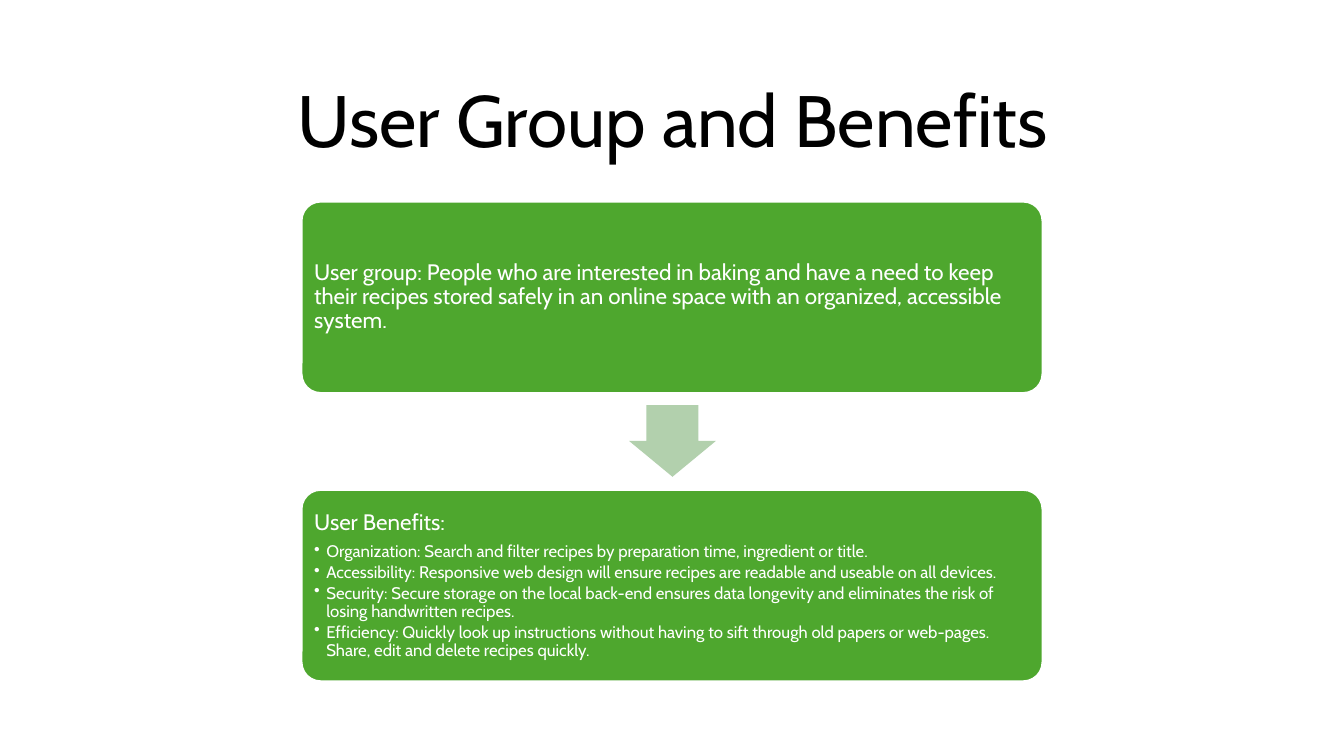
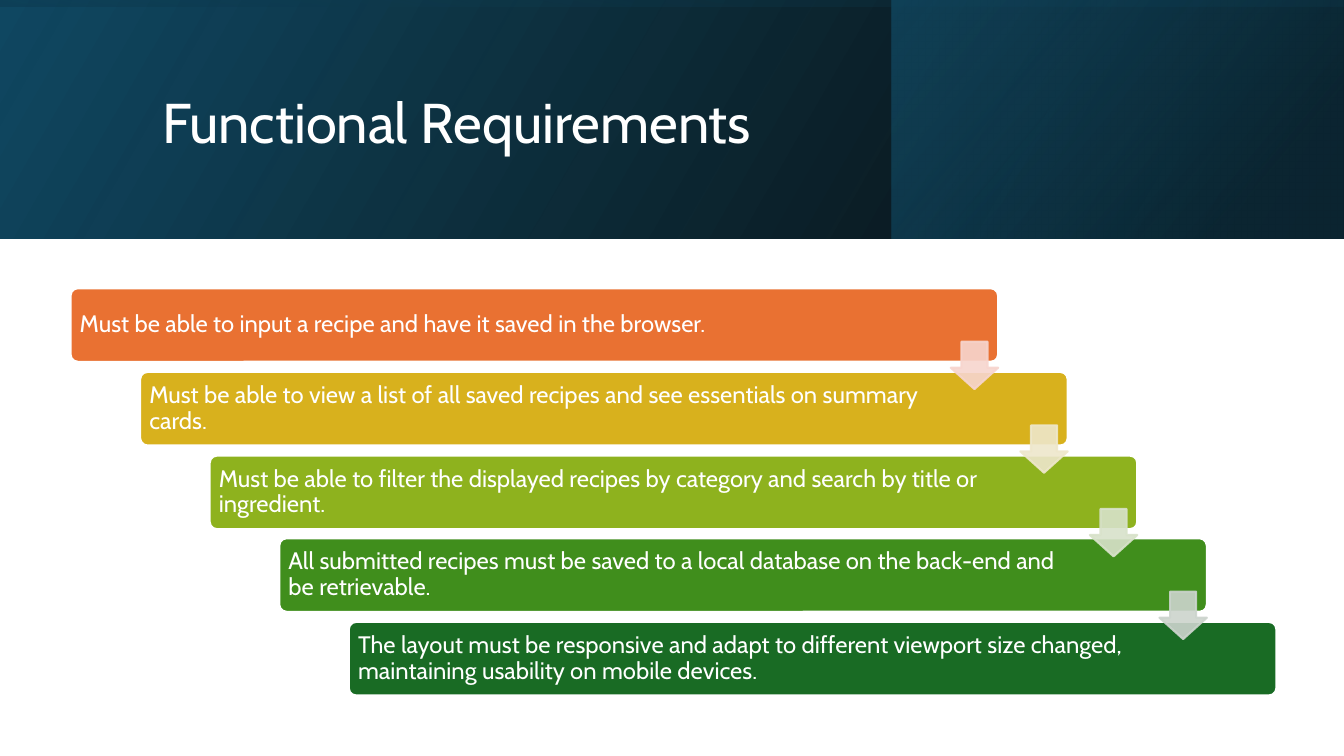
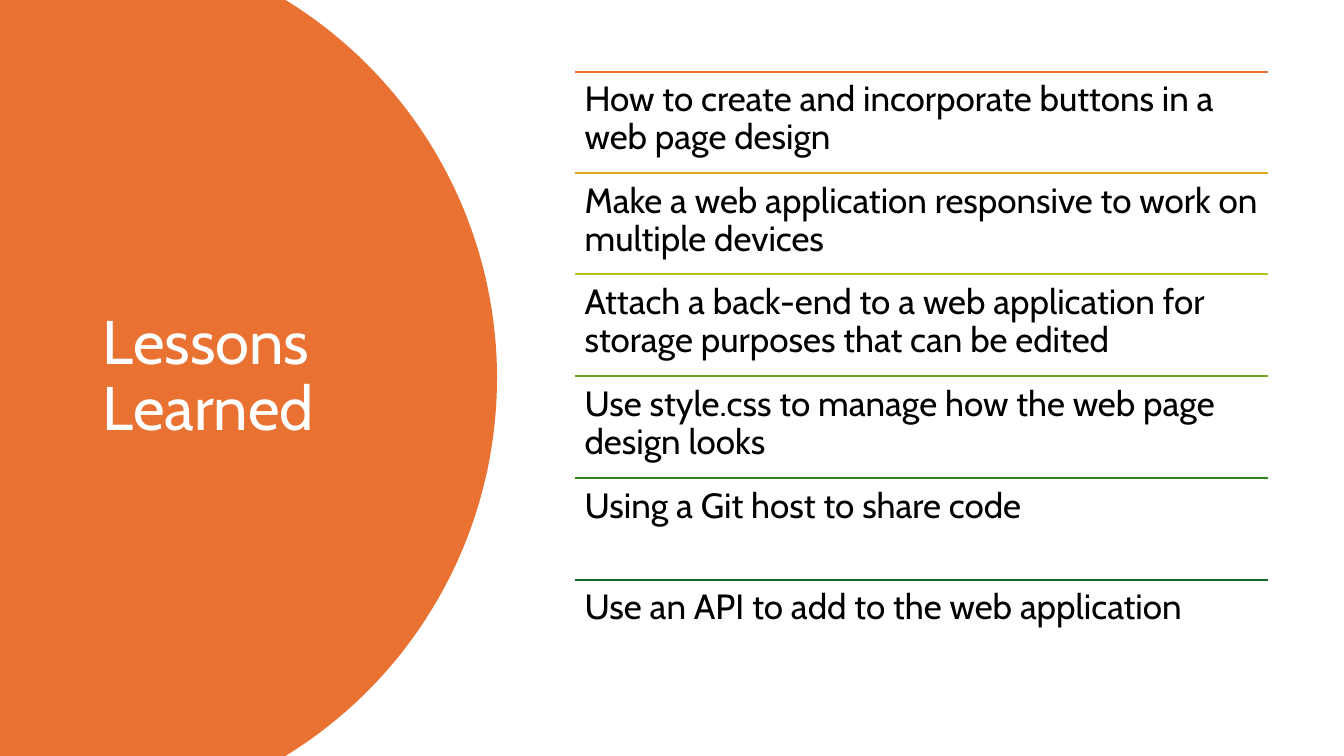
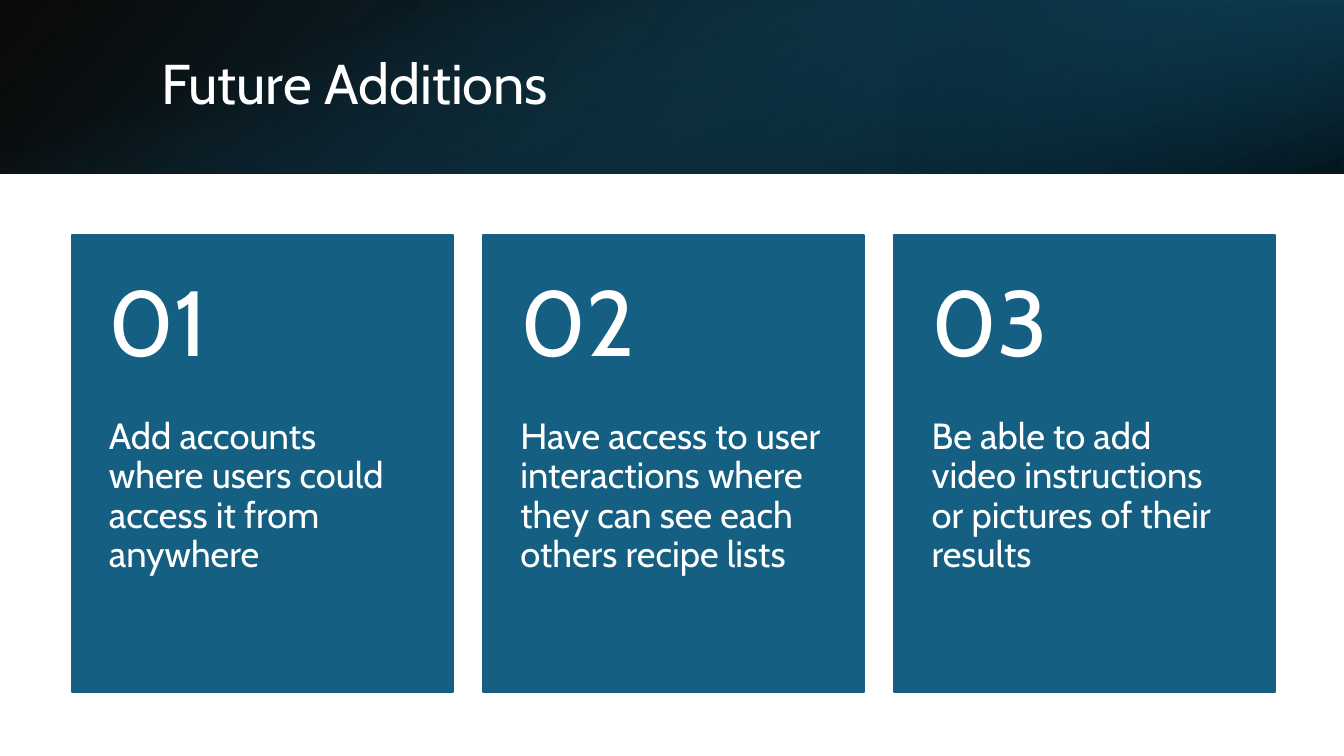
from dataclasses import dataclass
from math import asin, cos, sin

from lxml import etree
from pptx import Presentation
from pptx.dml.color import RGBColor
from pptx.enum.shapes import MSO_CONNECTOR, MSO_SHAPE
from pptx.enum.text import MSO_ANCHOR, MSO_AUTO_SIZE, PP_ALIGN
from pptx.oxml.ns import qn
from pptx.util import Pt

PX = 9144
WIDTH, HEIGHT = 1333, 750
TITLE_ONLY = 5
LEFT, CENTER = PP_ALIGN.LEFT, PP_ALIGN.CENTER
TOP, MIDDLE = MSO_ANCHOR.TOP, MSO_ANCHOR.MIDDLE
RECTANGLE, ROUNDED = MSO_SHAPE.RECTANGLE, MSO_SHAPE.ROUNDED_RECTANGLE
DOWN_ARROW = MSO_SHAPE.DOWN_ARROW
STRAIGHT = MSO_CONNECTOR.STRAIGHT
NO_AUTOFIT = MSO_AUTO_SIZE.NONE


@dataclass(frozen=True)
class Theme:
    font: str = "Cabin"
    black: str = "000000"
    white: str = "FFFFFF"
    green: str = "4EA72E"
    pale_green: str = "B2D0AD"
    orange: str = "E97132"
    blue: str = "156082"
    deep_blue: str = "104862"
    night_blue: str = "0B3041"
    hero_title: int = 52
    side_title: int = 44
    band_title: int = 40
    lead: int = 16
    bullet: int = 12
    step: int = 17
    lesson: int = 25
    card: int = 26
    number: int = 66
    line_spacing: float = 0.9
    line_width: float = 1.5


THEME = Theme()

USER_GROUP = [
    ("User group: People who are interested in baking and have a need to keep their recipes "
     "stored safely in an online space with an organized, accessible system.", False),
]
USER_BENEFITS = [
    ("User Benefits:", False),
    ("Organization: Search and filter recipes by preparation time, ingredient or title.", True),
    ("Accessibility: Responsive web design will ensure recipes are readable and useable on all "
     "devices.", True),
    ("Security: Secure storage on the local back-end ensures data longevity and eliminates the "
     "risk of losing handwritten recipes.", True),
    ("Efficiency: Quickly look up instructions without having to sift through old papers or "
     "web-pages. Share, edit and delete recipes quickly.", True),
]
REQUIREMENTS = [
    ("Must be able to input a recipe and have it saved in the browser.", "E97132", "F7D5CE"),
    ("Must be able to view a list of all saved recipes and see essentials on summary cards.",
     "D8B11D", "EEE7CB"),
    ("Must be able to filter the displayed recipes by category and search by title or "
     "ingredient.", "8EB21E", "D8E2CA"),
    ("All submitted recipes must be saved to a local database on the back-end and be "
     "retrievable.", "408E1C", "CCD4CD"),
    ("The layout must be responsive and adapt to different viewport size changed, maintaining "
     "usability on mobile devices.", "196B24", None),
]
LESSONS = [
    ("How to create and incorporate buttons in a web page design", "E97132"),
    ("Make a web application responsive to work on multiple devices", "E0A61D"),
    ("Attach a back-end to a web application for storage purposes that can be edited", "B7C11E"),
    ("Use style.css to manage how the web page design looks", "6BA31D"),
    ("Using a Git host to share code", "34861C"),
    ("Use an API to add to the web application", "196B24"),
]
ADDITIONS = [
    "Add accounts where users could access it from anywhere",
    "Have access to user interactions where they can see each others recipe lists",
    "Be able to add video instructions or pictures of their results",
]

BASE_STOPS = [(0, THEME.black, 96), (100, THEME.deep_blue, 100)]
REQUIREMENT_BANDS = [
    ((0, 0, WIDTH, 237), 0, True, 330, BASE_STOPS),
    ((884, 0, 448, 237), 0, True, 320, [(19, THEME.night_blue, 68), (100, THEME.blue, 48)]),
    ((548, -548, 237, WIDTH), 270, True, 350, [(23, THEME.deep_blue, 16), (99, THEME.black, 45)]),
]
ADDITION_BANDS = [
    ((0, 0, WIDTH, 172), 0, True, 140, BASE_STOPS),
    ((889, 0, 444, 172), 180, True, 320, [(19, THEME.night_blue, 68), (100, THEME.blue, 79)]),
    ((580, -580, 172, WIDTH), 90, False, 340, [(23, THEME.blue, 0), (99, THEME.black, 74)]),
]


def rgb(value):
    return RGBColor.from_string(value)


def emu(*lengths):
    return [length * PX for length in lengths]


def set_values(target, **values):
    for name, value in values.items():
        setattr(target, name, value)


def set_alpha(shape, alphas):
    for color, alpha in zip(shape.element.spPr.iter(qn("a:srgbClr")), alphas):
        etree.SubElement(color, qn("a:alpha")).set("val", str(alpha * 1000))


def set_frame(frame, anchor, insets):
    left, top, right, bottom = emu(*insets)
    set_values(frame, word_wrap=True, auto_size=NO_AUTOFIT, vertical_anchor=anchor,
               margin_left=left, margin_top=top, margin_right=right, margin_bottom=bottom)


def write(para, text, size, color, align=LEFT, after=0):
    set_values(para, alignment=align, line_spacing=THEME.line_spacing,
               space_before=Pt(0), space_after=Pt(after))
    span = para.add_run()
    span.text = text
    set_values(span.font, name=THEME.font, size=Pt(size))
    span.font.color.rgb = rgb(color)


def add_bullet(para):
    para.level = 1
    properties = para._p.get_or_add_pPr()
    properties.set("marL", str(12 * PX))
    properties.set("indent", str(-12 * PX))
    etree.SubElement(properties, qn("a:buChar")).set("char", "•")


def add_title(slide, text, box, size, color=THEME.white, align=LEFT):
    title = slide.shapes.title
    title.element.getparent().append(title.element)
    left, top, width, height = emu(*box)
    set_values(title, left=left, top=top, width=width, height=height)
    set_frame(title.text_frame, MIDDLE, (10, 5, 10, 5))
    write(title.text_frame.paragraphs[0], text, size, color, align)


def add_shape(slide, kind, box, fill, line=None, adjustments=()):
    shape = slide.shapes.add_shape(kind, *emu(*box))
    shape.shadow.inherit = False
    for index, value in enumerate(adjustments):
        shape.adjustments[index] = value
    shape.fill.solid()
    shape.fill.fore_color.rgb = rgb(fill)
    if line:
        shape.line.color.rgb = rgb(line)
        shape.line.width = Pt(THEME.line_width)
    else:
        shape.line.fill.background()
    return shape


def add_text(slide, text, box, size, color, anchor, insets):
    frame = slide.shapes.add_textbox(*emu(*box)).text_frame
    set_frame(frame, anchor, insets)
    write(frame.paragraphs[0], text, size, color)


def add_band(slide, box, rotation, flipped, angle, stops):
    band = add_shape(slide, RECTANGLE, box, THEME.black)
    band.rotation = rotation
    if flipped:
        band.element.spPr.get_or_add_xfrm().set("flipH", "1")
    band.fill.gradient()
    band.fill.gradient_angle = 360 - angle
    for stop, (position, color, _) in zip(band.fill.gradient_stops, stops):
        stop.position = position / 100
        stop.color.rgb = rgb(color)
    set_alpha(band, [alpha for _, _, alpha in stops])


def build_benefits(slide):
    add_title(slide, "User Group and Benefits", (92, 61, 1150, 124), THEME.hero_title,
              THEME.black, CENTER)
    for top, lines in ((200, USER_GROUP), (486, USER_BENEFITS)):
        panel = add_shape(slide, ROUNDED, (299, top, 735, 190), THEME.green, THEME.white, [0.1])
        frame = panel.text_frame
        set_frame(frame, MIDDLE, (7, 7, 7, 7))
        for index, (text, bulleted) in enumerate(lines):
            para = frame.add_paragraph() if index else frame.paragraphs[0]
            if bulleted:
                add_bullet(para)
            size, after = (THEME.bullet, 1.8) if bulleted else (THEME.lead, 5.6)
            write(para, text, size, THEME.white, after=after)
    add_shape(slide, DOWN_ARROW, (624, 402, 86, 71), THEME.pale_green, adjustments=[0.6, 0.5])


def build_requirements(slide):
    for band in REQUIREMENT_BANDS:
        add_band(slide, *band)
    add_title(slide, "Functional Requirements", (151, 38, 1063, 172), THEME.band_title)
    offsets = [(69 * index, round(82.75 * index)) for index in range(len(REQUIREMENTS))]
    for (right, down), (text, color, _) in zip(offsets, REQUIREMENTS):
        step = add_shape(slide, ROUNDED, (70 + right, 286 + down, 920, 73), color,
                         THEME.white, [0.1])
        set_frame(step.text_frame, MIDDLE, (7, 7, 123, 7))
        write(step.text_frame.paragraphs[0], text, THEME.step, THEME.white)
    for (right, down), (_, _, color) in zip(offsets, REQUIREMENTS):
        if color:
            arrow = add_shape(slide, DOWN_ARROW, (943 + right, 339 + down, 47, 47), color,
                              color, [0.55, 0.45])
            set_alpha(arrow, (90, 90))


def build_lessons(slide):
    center_x, center_y, radius, steps = 53, HEIGHT / 2, 440, 120
    reach = asin(center_y / radius)
    angles = [reach * (2 * index / steps - 1) for index in range(steps + 1)]
    arc = [(round((center_x + radius * cos(angle)) * PX),
            round((center_y + radius * sin(angle)) * PX)) for angle in angles]
    builder = slide.shapes.build_freeform(0, 0)
    builder.add_line_segments([*arc, (0, HEIGHT * PX)], close=True)
    disc = builder.convert_to_shape()
    disc.shadow.inherit = False
    disc.fill.solid()
    disc.fill.fore_color.rgb = rgb(THEME.orange)
    disc.line.fill.background()
    add_title(slide, "Lessons Learned", (92, 70, 323, 609), THEME.side_title)
    left, width = 570, 688
    for index, (text, color) in enumerate(LESSONS):
        top = 71 + round(100.7 * index)
        rule = slide.shapes.add_connector(STRAIGHT, *emu(left, top, left + width, top))
        rule.line.color.rgb = rgb(color)
        rule.line.width = Pt(THEME.line_width)
        etree.SubElement(rule.element.spPr, qn("a:effectLst"))
        add_text(slide, text, (left, top, width, 101), THEME.lesson, THEME.black, TOP,
                 (10, 10, 10, 10))


def build_additions(slide):
    for band in ADDITION_BANDS:
        add_band(slide, *band)
    add_title(slide, "Future Additions", (150, 38, 1098, 96), THEME.band_title)
    top, width, height, number_height = 233, 378, 454, 182
    for index, text in enumerate(ADDITIONS):
        left = 71 + 408 * index
        card = add_shape(slide, RECTANGLE, (left, top, width, height), THEME.blue, THEME.blue)
        set_frame(card.text_frame, TOP, (37, number_height, 37, 36))
        write(card.text_frame.paragraphs[0], text, THEME.card, THEME.white)
        add_text(slide, f"{index + 1:02d}", (left, top, width, number_height), THEME.number,
                 THEME.white, MIDDLE, (37, 18, 37, 18))


def main():
    deck = Presentation()
    deck.slide_width, deck.slide_height = emu(WIDTH, HEIGHT)
    for build in (build_benefits, build_requirements, build_lessons, build_additions):
        build(deck.slides.add_slide(deck.slide_layouts[TITLE_ONLY]))
    deck.save("out.pptx")


if __name__ == "__main__":
    main()
